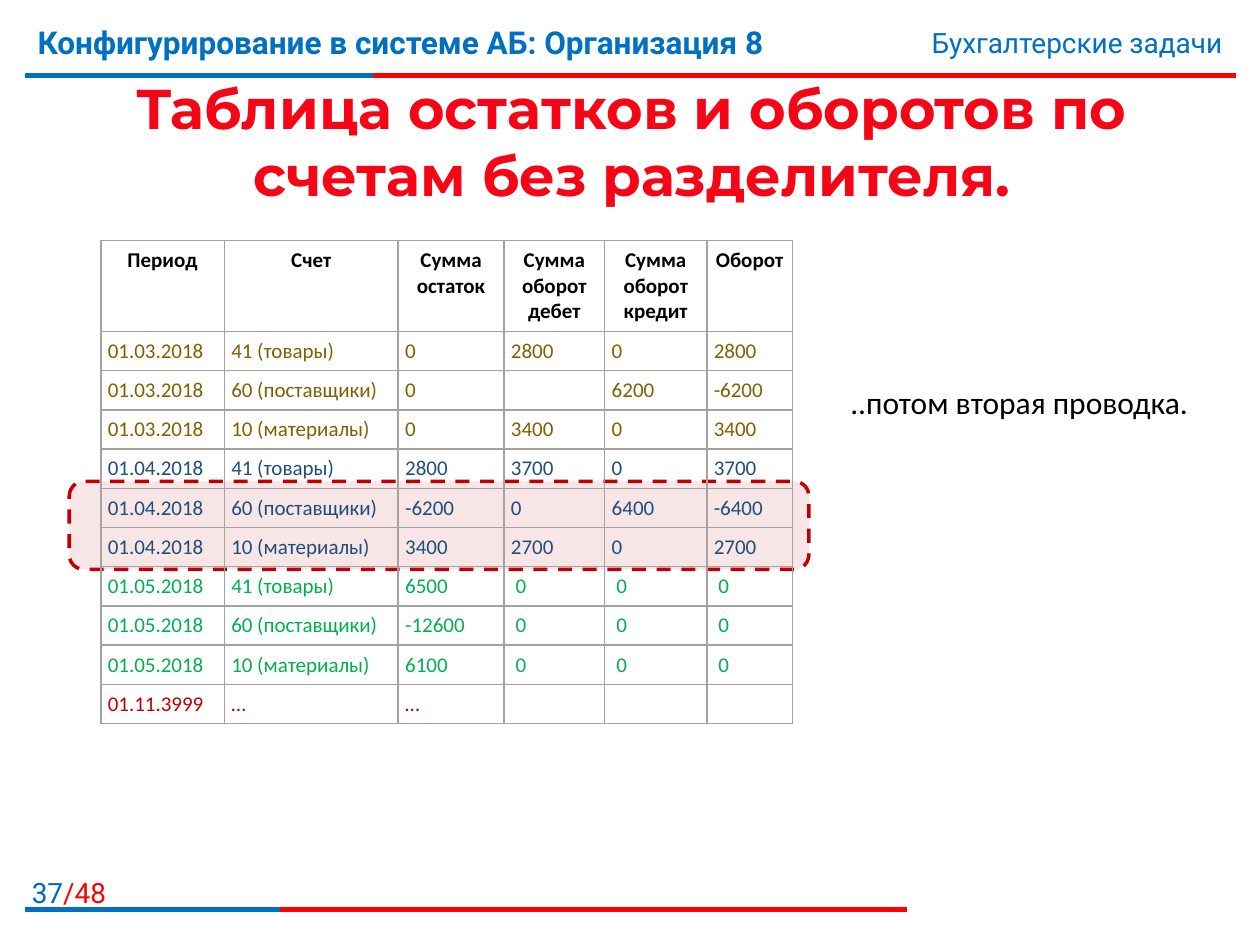
from lxml import etree
from pptx import Presentation
from pptx.dml.color import RGBColor
from pptx.enum.dml import MSO_LINE
from pptx.enum.shapes import MSO_CONNECTOR, MSO_SHAPE
from pptx.enum.text import MSO_ANCHOR, MSO_AUTO_SIZE, PP_ALIGN
from pptx.oxml.ns import qn
from pptx.util import Inches, Pt

LEFT, CENTER, RIGHT = PP_ALIGN.LEFT, PP_ALIGN.CENTER, PP_ALIGN.RIGHT
MIDDLE, NO_FIT = MSO_ANCHOR.MIDDLE, MSO_AUTO_SIZE.NONE
STRAIGHT, ROUNDED, DASH = MSO_CONNECTOR.STRAIGHT, MSO_SHAPE.ROUNDED_RECTANGLE, MSO_LINE.DASH

RED = RGBColor(0xFF, 0x00, 0x00)
BLUE = RGBColor(0x00, 0x70, 0xC0)
PAGE_BLUE = RGBColor(0x00, 0x66, 0xCC)
TITLE_RED = RGBColor(0xF5, 0x05, 0x16)
DARK_RED = RGBColor(0xC0, 0x00, 0x00)
BLACK = RGBColor(0x00, 0x00, 0x00)
WHITE = RGBColor(0xFF, 0xFF, 0xFF)
GRAY = RGBColor(0xA3, 0xA3, 0xA3)
OLIVE = RGBColor(0x7F, 0x60, 0x00)
NAVY = RGBColor(0x1E, 0x4E, 0x79)
GREEN = RGBColor(0x00, 0xB0, 0x50)

GOODS, SUPPLIERS, MATERIALS = "41 (товары)", "60 (поставщики)", "10 (материалы)"
NBSP_ZERO = "\u00a00"
COLUMNS = [("Период", 0.98), ("Счет", 1.38), ("Сумма остаток", 0.84),
           ("Сумма оборот дебет", 0.8), ("Сумма оборот кредит", 0.81), ("Оборот", 0.68)]
PERIODS = [
    ("01.03.2018", OLIVE, [(GOODS, "0", "2800", "0", "2800"),
                           (SUPPLIERS, "0", "", "6200", "-6200"),
                           (MATERIALS, "0", "3400", "0", "3400")]),
    ("01.04.2018", NAVY, [(GOODS, "2800", "3700", "0", "3700"),
                          (SUPPLIERS, "-6200", "0", "6400", "-6400"),
                          (MATERIALS, "3400", "2700", "0", "2700")]),
    ("01.05.2018", GREEN, [(account, balance) + (NBSP_ZERO,) * 3 for account, balance in
                           [(GOODS, "6500"), (SUPPLIERS, "-12600"), (MATERIALS, "6100")]]),
    ("01.11.3999", DARK_RED, [("…", "…", "", "", "")]),
]


def add_run(p, text, name, size, color, bold=False):
    """Append a formatted run to a paragraph."""
    r = p.add_run()
    r.text = text
    for key, value in {"name": name, "size": Pt(size), "bold": bold}.items():
        setattr(r.font, key, value)
    r.font.fill.solid()
    r.font.fill.fore_color.rgb = color
    return r


def add_text(s, box, runs, align=LEFT):
    """Add a one-paragraph text box; runs are argument tuples for add_run."""
    tf = s.shapes.add_textbox(*map(Inches, box)).text_frame
    tf.word_wrap = True
    p = tf.paragraphs[0]
    p.alignment = align
    for run in runs:
        add_run(p, *run)


def add_rule(s, y, x_end, color):
    """Add a thick horizontal rule from the left margin."""
    line = s.shapes.add_connector(STRAIGHT, *map(Inches, (0.2, y, x_end, y)))
    line.line.color.rgb = color
    line.line.width = Pt(3)
    etree.SubElement(line._element.spPr, qn("a:effectLst"))


def outline(parent, tag, color, width, index):
    """Insert a solid line element into text or cell properties."""
    ln = etree.Element(qn(tag), w=str(Pt(width)))
    fill = etree.SubElement(ln, qn("a:solidFill"))
    etree.SubElement(fill, qn("a:srgbClr"), val=str(color))
    parent.insert(index, ln)


def set_title(s, text):
    """Place the title and give it a red gradient with a white outline."""
    title = s.shapes.title
    title.left, title.top, title.width, title.height = map(Inches, (0.21, 0.63, 9.61, 0.97))
    tf = title.text_frame
    for key, value in {"word_wrap": True, "auto_size": NO_FIT, "vertical_anchor": MIDDLE}.items():
        setattr(tf, key, value)
    p = tf.paragraphs[0]
    p.alignment = CENTER
    r = add_run(p, text, "Montserrat", 32, TITLE_RED, True)
    fill = r.font.fill
    fill.gradient()
    fill.gradient_angle = 270
    for stop, (position, color) in zip(fill.gradient_stops, [(0.55, TITLE_RED), (0.86, DARK_RED)]):
        stop.position = position
        stop.color.rgb = color
    outline(r._r.get_or_add_rPr(), "a:ln", WHITE, 0.75, 0)


def add_highlight(s, box):
    """Add the translucent dashed frame behind the table rows."""
    sp = s.shapes.add_shape(ROUNDED, *map(Inches, box))
    sp.shadow.inherit = False
    sp.fill.solid()
    sp.fill.fore_color.rgb = DARK_RED
    color = sp._element.spPr.find(qn("a:solidFill")).find(qn("a:srgbClr"))
    etree.SubElement(color, qn("a:alpha"), val="10000")
    sp.line.color.rgb = DARK_RED
    sp.line.width = Pt(2)
    sp.line.dash_style = DASH


def fill_cell(cell, text, color, header):
    """Write one table cell with grey borders and no fill."""
    for side in ("left", "right", "top", "bottom"):
        setattr(cell, f"margin_{side}", Pt(4))
    cell.fill.background()
    for i, side in enumerate("LRTB"):
        outline(cell._tc.get_or_add_tcPr(), f"a:ln{side}", GRAY, 1, i)
    p = cell.text_frame.paragraphs[0]
    p.alignment = CENTER if header else LEFT
    if text:
        add_run(p, text, "Calibri", 12, color, header)
    else:
        etree.SubElement(p._p, qn("a:endParaRPr"), sz="1200")


def add_balance_table(s):
    """Add the table of balances and turnovers."""
    rows = [([name for name, _ in COLUMNS], BLACK)]
    rows += [((period, *values), color) for period, color, lines in PERIODS for values in lines]
    frame = s.shapes.add_table(len(rows), len(COLUMNS), *map(Inches, (0.8, 1.91, 5.49, 3.82)))
    table = frame.table
    table.first_row = table.horz_banding = False
    for column, (_, width) in zip(table.columns, COLUMNS):
        column.width = Inches(width)
    for i, (values, color) in enumerate(rows):
        table.rows[i].height = Inches(0.31 if i else 0.72)
        for j, text in enumerate(values):
            fill_cell(table.cell(i, j), text, color, i == 0)


def main():
    """Build the slide and save it."""
    prs = Presentation()
    prs.slide_width, prs.slide_height = Inches(10), Inches(7.5)
    s = prs.slides.add_slide(prs.slide_layouts[5])
    for y, red_end, blue_end in [(0.6, 9.81, 2.96), (7.22, 7.2, 2.22)]:
        add_rule(s, y, red_end, RED)
        add_rule(s, y, blue_end, BLUE)
    add_text(s, (0.05, 6.9, 0.89, 0.32),
             [("37", "Roboto", 16, PAGE_BLUE), ("/48", "Roboto", 16, RED)], RIGHT)
    add_text(s, (0.2, 0.13, 7.4, 0.62),
             [("Конфигурирование в системе АБ: Организация 8", "Roboto", 18, BLUE, True)])
    add_text(s, (5.94, 0.15, 3.86, 0.37), [("Бухгалтерские задачи", "Roboto", 16, BLUE)], RIGHT)
    set_title(s, "Таблица остатков и оборотов по счетам без разделителя.")
    add_highlight(s, (0.55, 3.82, 5.87, 0.7))
    add_balance_table(s)
    add_text(s, (6.65, 2.99, 3.06, 0.4), [("..потом вторая проводка.", "Calibri", 18, BLACK)])
    prs.save("out.pptx")


main()
